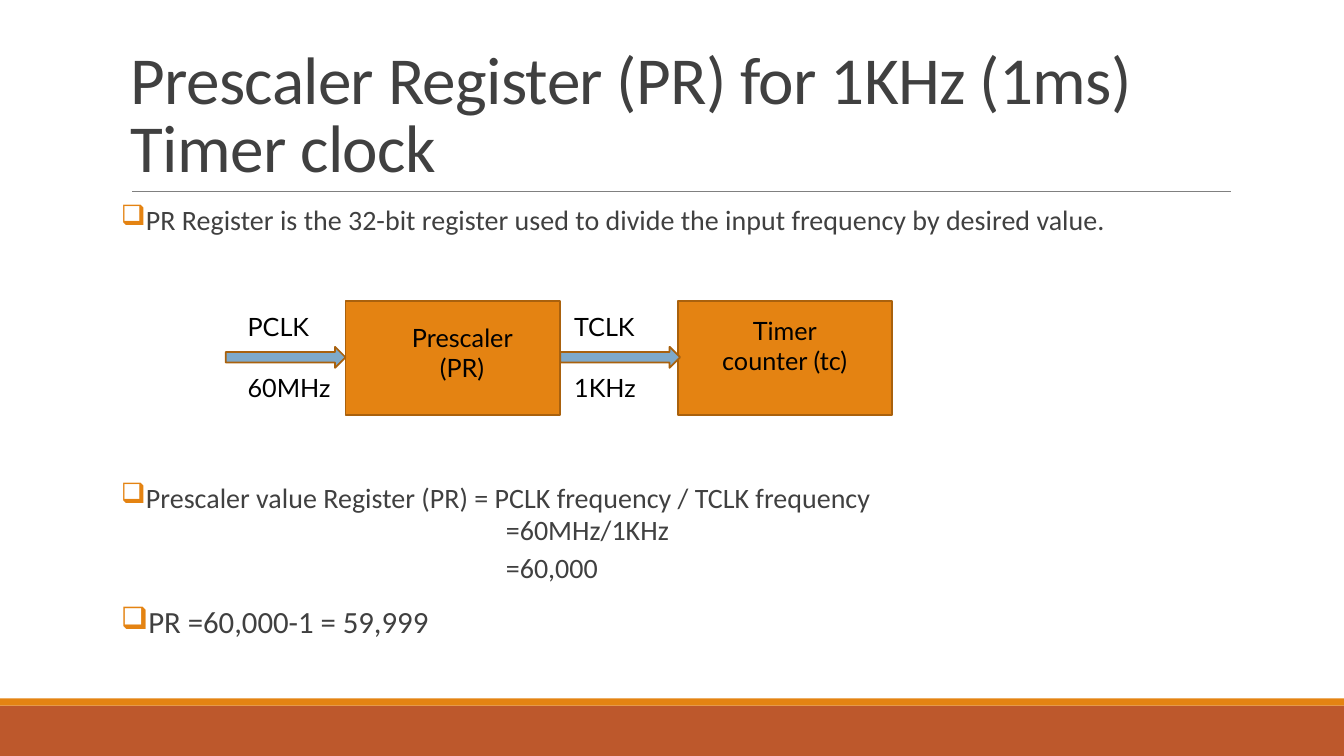
"""Build the slide that explains the prescaler register for a 1 kHz timer clock."""
from lxml.etree import SubElement
from pptx import Presentation
from pptx.dml.color import RGBColor
from pptx.enum.shapes import MSO_CONNECTOR, MSO_SHAPE
from pptx.enum.text import MSO_ANCHOR, PP_ALIGN
from pptx.oxml.ns import qn
from pptx.util import Cm, Pt

COLORS = {"orange": "E48312", "rust": "BD582C", "edge": "A9610D", "arrow": "7EA9CA",
          "rule": "808080", "text": "404040", "label": "000000"}


def add_block(kind, left, top, width, height, fill, edge=None):
    block = slide.shapes.add_shape(kind, Cm(left), Cm(top), Cm(width), Cm(height))
    block.shadow.inherit = False
    block.fill.solid()
    block.fill.fore_color.rgb = RGBColor.from_string(COLORS[fill])
    if edge:
        block.line.color.rgb = RGBColor.from_string(COLORS[edge])
        block.line.width = Pt(1.25)
    else:
        block.line.fill.background()


def write(frame, text, size, font="Calibri", color="text", spacing=1.0, before=0, after=0,
          align=PP_ALIGN.LEFT, tracking=None, bullet=False, indent=0):
    frame.word_wrap = True
    paragraph = frame.paragraphs[0] if not frame.text else frame.add_paragraph()
    paragraph.alignment = align
    paragraph.line_spacing = spacing
    paragraph.space_before, paragraph.space_after = Pt(before), Pt(after)
    properties = paragraph._p.get_or_add_pPr()
    if indent:
        properties.set("marL", str(Cm(indent)))
    if bullet:
        properties.set("marL", str(Cm(0.25)))
        properties.set("indent", str(Cm(-0.25)))
        bullet_color = SubElement(properties, qn("a:buClr"))
        SubElement(bullet_color, qn("a:srgbClr"), val=COLORS["orange"])
        SubElement(properties, qn("a:buChar"), char="❑")
    run = paragraph.add_run()
    run.text = text
    run.font.size, run.font.name = Pt(size), font
    run.font.color.rgb = RGBColor.from_string(COLORS[color])
    if tracking:
        run._r.get_or_add_rPr().set("spc", str(tracking))


presentation = Presentation()
presentation.slide_width, presentation.slide_height = Cm(33.87), Cm(19.05)
slide = presentation.slides.add_slide(presentation.slide_layouts[6])

add_block(MSO_SHAPE.RECTANGLE, 0, 17.78, 33.87, 1.27, "rust")
add_block(MSO_SHAPE.RECTANGLE, 0, 17.6, 33.87, 0.18, "orange")

title_rule = slide.shapes.add_connector(MSO_CONNECTOR.STRAIGHT, Cm(3.33), Cm(4.82), Cm(31.01), Cm(4.82))
title_rule.line.color.rgb = RGBColor.from_string(COLORS["rule"])
title_rule.line.width = Pt(0.5)
SubElement(title_rule._element.spPr, qn("a:effectLst"))

title = slide.shapes.add_textbox(Cm(3.05), Cm(0.79), Cm(27.94), Cm(4.04)).text_frame
title.vertical_anchor = MSO_ANCHOR.BOTTOM
write(title, "Prescaler Register (PR) for 1KHz (1ms) Timer clock", 48, spacing=0.85, tracking=-50)

definition = slide.shapes.add_textbox(Cm(3.05), Cm(5.13), Cm(27.94), Cm(1.2)).text_frame
calculation = slide.shapes.add_textbox(Cm(3.05), Cm(12.14), Cm(27.94), Cm(4.17)).text_frame
for body in (definition, calculation):
    body.margin_left = body.margin_right = 0

write(definition, "PR Register is the 32-bit register used to divide the input frequency by desired value.",
      20, spacing=0.8, after=2, bullet=True)
write(calculation, "Prescaler value Register (PR) = PCLK frequency / TCLK frequency",
      20, spacing=0.8, after=2, bullet=True)
for step, spacing in (("=60MHz/1KHz", 0.8), ("=60,000", 0.9)):
    write(calculation, step, 20, spacing=spacing, before=2, after=4, indent=9.7)
write(calculation, "PR =60,000-1 = 59,999", 22, spacing=0.9, before=12, after=2, bullet=True)

stages = [
    ("Prescaler (PR)", 8.71, 9.5, 8.0, "PCLK", "60MHz", 5.69, 5.99),
    ("Timer counter (tc)", 17.09, 17.63, 7.82, "TCLK", "1KHz", 14.12, 14.22),
]
for stage, stage_left, name_left, name_top, clock, frequency, arrow_left, clock_left in stages:
    add_block(MSO_SHAPE.RECTANGLE, stage_left, 7.59, 5.4, 2.87, "orange", "edge")
    add_block(MSO_SHAPE.RIGHT_ARROW, arrow_left, 8.74, 3.02, 0.53, "arrow", "edge")
    signal = slide.shapes.add_textbox(Cm(clock_left), Cm(7.72), Cm(3.6), Cm(2.56)).text_frame
    write(signal, clock, 18, font="Lato", color="label")
    write(signal, frequency, 18, font="Lato", color="label", before=22)
    name = slide.shapes.add_textbox(Cm(name_left), Cm(name_top), Cm(4.29), Cm(1.8)).text_frame
    write(name, stage, 18, font="Lato", color="label", align=PP_ALIGN.CENTER)

presentation.save("out.pptx")
